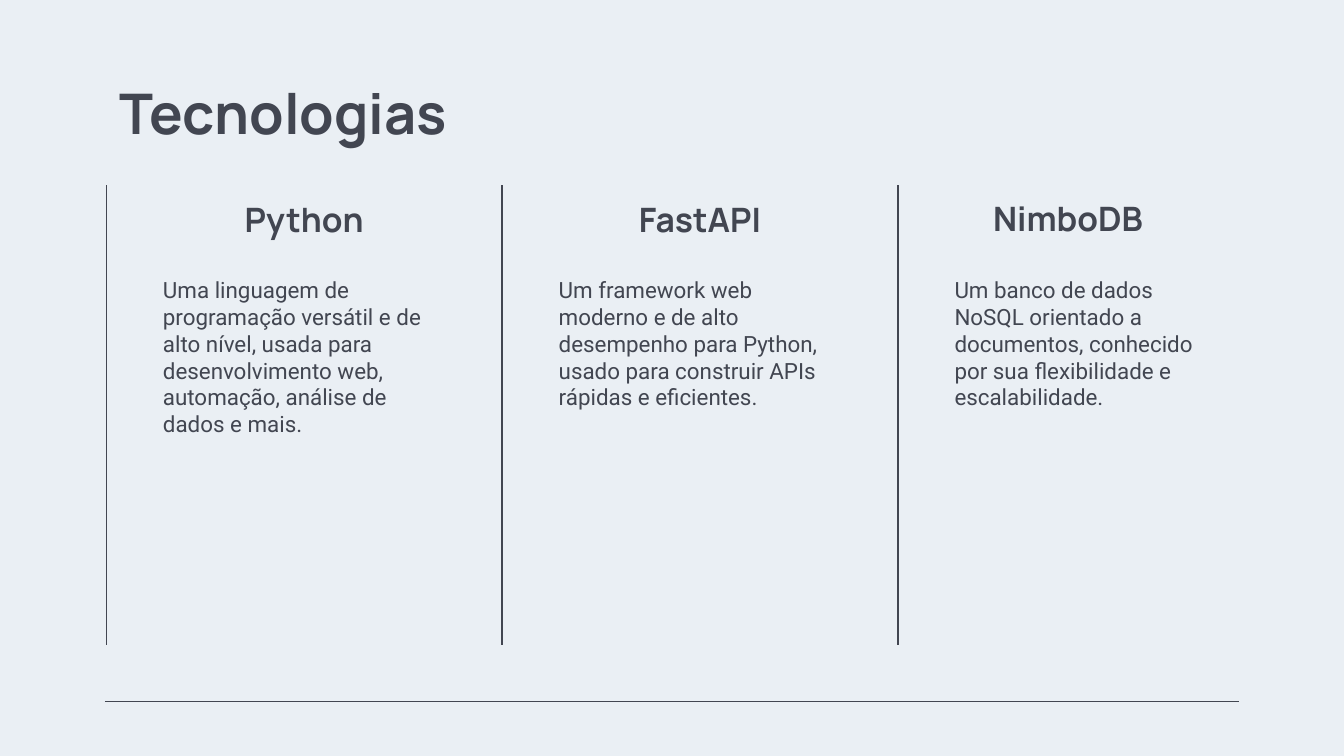
from lxml import etree
from pptx import Presentation
from pptx.dml.color import RGBColor
from pptx.enum.shapes import MSO_CONNECTOR
from pptx.enum.text import MSO_ANCHOR, MSO_AUTO_SIZE, PP_ALIGN
from pptx.oxml.ns import qn
from pptx.util import Cm, Pt

STRAIGHT = MSO_CONNECTOR.STRAIGHT
TOP, BOTTOM = MSO_ANCHOR.TOP, MSO_ANCHOR.BOTTOM
LEFT, CENTER = PP_ALIGN.LEFT, PP_ALIGN.CENTER
FIXED, GROW = MSO_AUTO_SIZE.NONE, MSO_AUTO_SIZE.SHAPE_TO_FIT_TEXT

COLORS = {"background": "EAEFF4", "ink": "424651"}
HEADING_FONT, BODY_FONT = "Manrope", "Roboto"
TITLE_ONLY = 5

# Column grid in centimetres
COLUMN_LEFT, COLUMN_STEP = 2.01, 7.48
COLUMN_TOP, COLUMN_BOTTOM = 3.5, 12.19

# Name, description, heading top and heading width of each column
COLUMNS = [
    ("Python",
     "Uma linguagem de programação versátil e de alto nível, usada para "
     "desenvolvimento web, automação, análise de dados e mais.",
     COLUMN_TOP, COLUMN_STEP),
    ("FastAPI",
     "Um framework web moderno e de alto desempenho para Python, usado para "
     "construir APIs rápidas e eficientes.",
     COLUMN_TOP, COLUMN_STEP),
    ("NimboDB",
     "Um banco de dados NoSQL orientado a documentos, conhecido por sua "
     "flexibilidade e escalabilidade.",
     3.48, 6.43),
]


class SlideBuilder:
    """Holds the style and the current slide."""

    def __init__(self, slide):
        self.slide = slide
        self.ink = RGBColor.from_string(COLORS["ink"])

    def background(self):
        fill = self.slide.background.fill
        fill.solid()
        fill.fore_color.rgb = RGBColor.from_string(COLORS["background"])

    def format_text(self, shape, text, font_name, size, bold=False,
                    align=LEFT, anchor=TOP, auto_size=FIXED):
        frame = shape.text_frame
        frame.text = text
        frame.word_wrap = True
        frame.auto_size = auto_size
        frame.vertical_anchor = anchor
        frame.margin_left = frame.margin_right = Cm(0.25)
        frame.margin_top = frame.margin_bottom = Cm(0.25)
        paragraph = frame.paragraphs[0]
        paragraph.alignment = align
        font = paragraph.runs[0].font
        font.name, font.size, font.bold = font_name, Pt(size), bold
        font.color.rgb = self.ink

    def title(self, text, left, top, width, height):
        shape = self.slide.shapes.title
        shape.left, shape.top = Cm(left), Cm(top)
        shape.width, shape.height = Cm(width), Cm(height)
        self.format_text(shape, text, HEADING_FONT, 30, bold=True)

    def text_box(self, left, top, width, height):
        return self.slide.shapes.add_textbox(
            Cm(left), Cm(top), Cm(width), Cm(height))

    def heading(self, text, left, top, width):
        shape = self.text_box(left, top, width, 1.27)
        self.format_text(shape, text, HEADING_FONT, 18, bold=True,
                         align=CENTER, anchor=BOTTOM, auto_size=GROW)

    def body(self, text, left, top):
        shape = self.text_box(left, top, 5.49, 2.9)
        self.format_text(shape, text, BODY_FONT, 12)

    def line(self, x1, y1, x2, y2):
        connector = self.slide.shapes.add_connector(
            STRAIGHT, Cm(x1), Cm(y1), Cm(x2), Cm(y2))
        connector.line.color.rgb = self.ink
        connector.line.width = Pt(0.75)
        properties = connector._element.spPr
        etree.SubElement(properties, qn("a:effectLst"))


def main():
    presentation = Presentation()
    presentation.slide_width, presentation.slide_height = Cm(25.4), Cm(14.29)
    layout = presentation.slide_layouts[TITLE_ONLY]
    builder = SlideBuilder(presentation.slides.add_slide(layout))

    # Background, footer rule and title
    builder.background()
    builder.line(1.98, 13.26, 23.42, 13.26)
    builder.title("Tecnologias", COLUMN_LEFT, 1.24, 21.41, 1.6)

    # Technology columns
    for index, (name, description, top, width) in enumerate(COLUMNS):
        left = COLUMN_LEFT + index * COLUMN_STEP
        builder.line(left, COLUMN_TOP, left, COLUMN_BOTTOM)
        builder.heading(name, left, top, width)
        builder.body(description, left + 0.82, 4.97)

    presentation.save("out.pptx")


if __name__ == "__main__":
    main()
